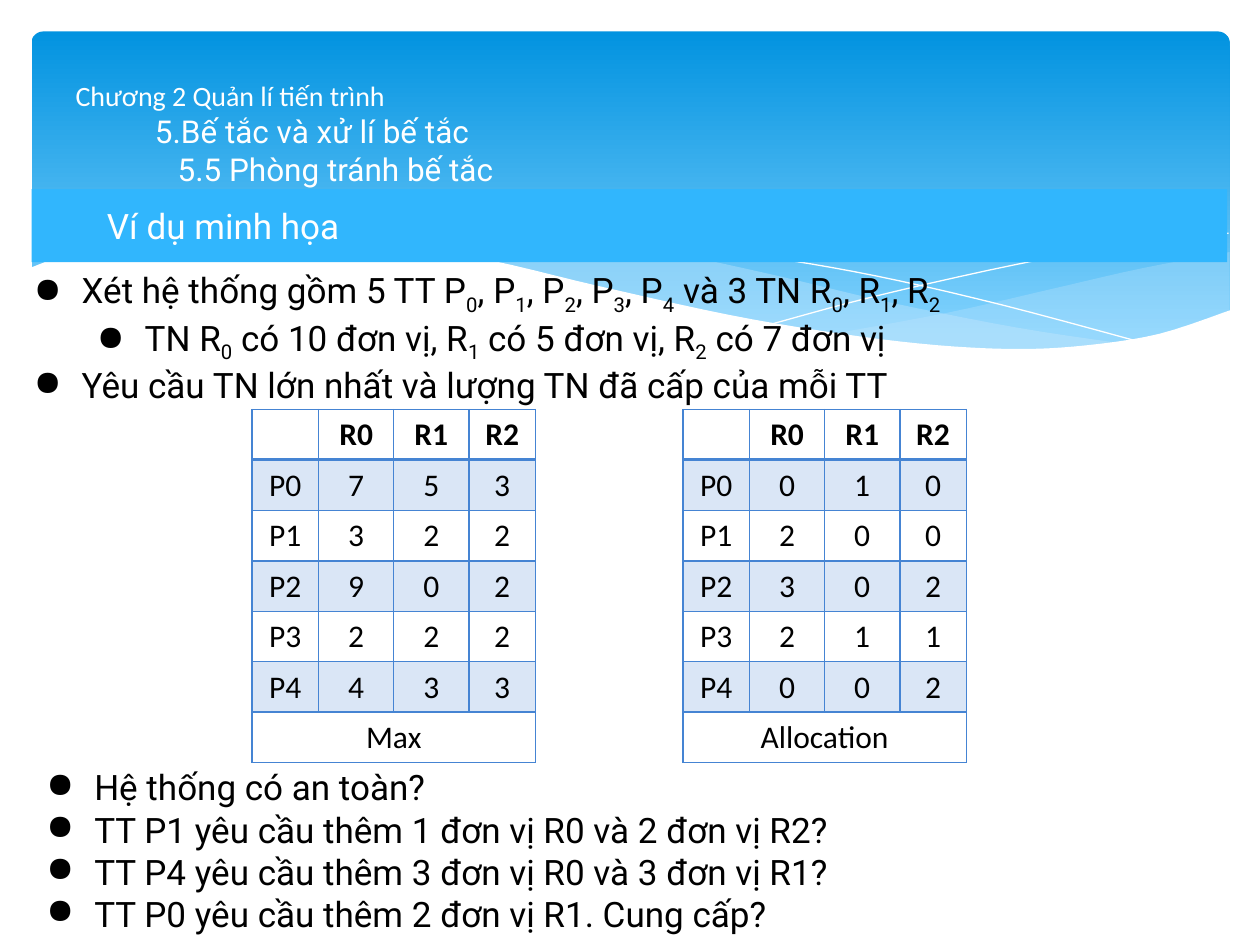
import dataclasses

import lxml.etree
import pptx
import pptx.dml.color
import pptx.enum.shapes
import pptx.enum.text
import pptx.oxml.ns
import pptx.util

COLORS = {
    "panel_top": "0293E0", "panel_bottom": "83D3FE", "wave": "C6E7FC",
    "banner": "31B6FD", "border": "4584D3", "band": "DAE6F6",
    "white": "FFFFFF", "text": "000000",
}
HEADING_FONT, TABLE_FONT = "Roboto", "Calibri"
COLUMN = pptx.util.Inches(10) // 10
ROW = pptx.util.Inches(7.5) / 7.5


@dataclasses.dataclass
class Box:
    """An area in grid columns and rows."""
    left: float
    top: float
    width: float
    height: float

    def lengths(self):
        return (round(self.left * COLUMN), round(self.top * ROW),
                round(self.width * COLUMN), round(self.height * ROW))


def color(name):
    return pptx.dml.color.RGBColor.from_string(COLORS[name])


def add_element(parent, tag, **attributes):
    element = lxml.etree.SubElement(parent, pptx.oxml.ns.qn(tag))
    for name, value in attributes.items():
        element.set(name, str(value))
    return element


def format_font(font, size, face, name, bold=False):
    font.size, font.name, font.bold = pptx.util.Pt(size), face, bold
    font.color.rgb = color(name)


def indent(para, left, first=0.0):
    properties = para._p.get_or_add_pPr()
    properties.set("marL", str(round(left * COLUMN)))
    properties.set("indent", str(round(first * COLUMN)))
    return properties


def smooth_edge(points, steps=5):
    """Return points on a Catmull-Rom curve through the given points."""
    if len(points) == 2:
        return list(points)
    padded = [points[0], *points, points[-1]]
    curve = [points[0]]
    for a, b, c, d in zip(padded, padded[1:], padded[2:], padded[3:]):
        for step in range(1, steps + 1):
            t = step / steps
            curve.append(tuple(
                (2 * q + (r - p) * t + (2 * p - 5 * q + 4 * r - s) * t ** 2
                 + (3 * q - p - 3 * r + s) * t ** 3) / 2
                for p, q, r, s in zip(a, b, c, d)))
    return curve


def add_outline(page, edges, closed):
    points = [(round(x * COLUMN), round(y * ROW))
              for edge in edges for x, y in smooth_edge(edge)]
    builder = page.shapes.build_freeform(*points[0], scale=1.0)
    builder.add_line_segments(points[1:], close=closed)
    shape = builder.convert_to_shape()
    shape.shadow.inherit = False
    return shape


def add_wave(page, edges, name, opacity=100):
    wave = add_outline(page, edges, True)
    wave.fill.solid()
    wave.fill.fore_color.rgb = color(name)
    wave.line.fill.background()
    if opacity < 100:
        fill_color = wave._element.spPr.find(".//" + pptx.oxml.ns.qn("a:srgbClr"))
        add_element(fill_color, "a:alpha", val=opacity * 1000)


def add_wave_line(page, edge):
    line = add_outline(page, [edge], False)
    line.fill.background()
    line.line.color.rgb = color("white")
    line.line.width = pptx.util.Pt(0)


def add_header_panel(page, box):
    panel = page.shapes.add_shape(
        pptx.enum.shapes.MSO_SHAPE.ROUNDED_RECTANGLE, *box.lengths())
    panel.adjustments[0] = 0.034
    panel.shadow.inherit = False
    panel.line.fill.background()
    panel.fill.gradient()
    panel.fill.gradient_angle = 270
    stops = zip(panel.fill.gradient_stops, ("panel_top", "panel_bottom"), (0, 0.9))
    for stop, name, position in stops:
        stop.color.rgb = color(name)
        stop.position = position


def add_waves(page):
    add_wave(page, [
        [(9.76, 2), (9.06, 2.13), (8.32, 2.3), (7.53, 2.48), (6.61, 2.65)],
        [(6.61, 2.65), (7.32, 2.74), (8.03, 2.78), (8.72, 2.74),
         (9.28, 2.64), (9.76, 2.47)]], "wave", 29)
    add_wave(page, [
        [(8.93, 2.73), (8.07, 2.6), (7.06, 2.4), (6.13, 2.18), (5.27, 2),
         (4.41, 1.89), (3.61, 1.86), (2.86, 1.91)],
        [(2.86, 1.91), (3.62, 2.03), (4.49, 2.22), (5.66, 2.48), (6.5, 2.64),
         (7.22, 2.74), (8.07, 2.79), (8.93, 2.73)]], "wave", 40)
    add_wave_line(page, [(3.09, 1.95), (3.63, 1.89), (4.33, 1.87), (5.1, 1.92),
                         (6.08, 2.04), (6.95, 2.19), (7.95, 2.42), (9.07, 2.72)])
    add_wave_line(page, [(6.13, 2.57), (6.95, 2.35), (8.06, 2.1), (8.95, 1.94),
                         (9.75, 1.85)])
    add_wave(page, [
        [(9.77, 2.46), (9.2, 2.65), (8.63, 2.74), (8.09, 2.77), (7.44, 2.74),
         (6.68, 2.65), (5.79, 2.5), (4.75, 2.27), (3.91, 2.07), (3.15, 1.94),
         (2.5, 1.86), (1.77, 1.84), (1.19, 1.87), (0.67, 1.97), (0.23, 2.13)],
        [(0.23, 3.29), (9.77, 3.29)]], "white")


def place_title(page, box, lines):
    title = page.shapes.title
    title._element.getparent().append(title._element)
    title.left, title.top, title.width, title.height = box.lengths()
    frame = title.text_frame
    frame.auto_size = pptx.enum.text.MSO_AUTO_SIZE.NONE
    frame.vertical_anchor = pptx.enum.text.MSO_ANCHOR.MIDDLE
    frame.text = "\n".join(text for text, *_ in lines)
    for para, (_, left, size, face) in zip(frame.paragraphs, lines):
        indent(para, left)
        para.alignment = pptx.enum.text.PP_ALIGN.LEFT
        para.space_before = pptx.util.Pt(0)
        format_font(para.runs[0].font, size, face, "white")


def add_banner(page, box, text):
    banner = page.shapes.add_shape(
        pptx.enum.shapes.MSO_SHAPE.RECTANGLE, *box.lengths())
    banner.shadow.inherit = False
    banner.fill.solid()
    banner.fill.fore_color.rgb = color("banner")
    banner.line.fill.background()
    banner.text_frame.text = text
    para = banner.text_frame.paragraphs[0]
    indent(para, 0.5)
    para.alignment = pptx.enum.text.PP_ALIGN.LEFT
    format_font(para.runs[0].font, 20, HEADING_FONT, "white")


def add_bullets(page, box, items):
    """Add (level, text) items; the character after "_" is a subscript."""
    frame = page.shapes.add_textbox(*box.lengths()).text_frame
    frame.word_wrap = True
    frame.auto_size = pptx.enum.text.MSO_AUTO_SIZE.SHAPE_TO_FIT_TEXT
    for number, (level, text) in enumerate(items):
        para = frame.add_paragraph() if number else frame.paragraphs[0]
        para.level = level
        add_element(indent(para, 0.38 + level * 0.5, -0.38), "a:buChar", char="●")
        first, *rest = text.split("_")
        pieces = [(first, False)]
        for part in rest:
            pieces += [(part[0], True), (part[1:], False)]
        for piece, lowered in pieces:
            if piece:
                span = para.add_run()
                span.text = piece
                format_font(span.font, 20, HEADING_FONT, "text")
                if lowered:
                    span._r.get_or_add_rPr().set("baseline", "-25000")


def border_cell(cell, bottom):
    properties = cell._tc.get_or_add_tcPr()
    for side, width in zip("LRTB", (1, 1, 1, bottom)):
        line = add_element(properties, "a:ln" + side, w=pptx.util.Pt(width))
        add_element(add_element(line, "a:solidFill"), "a:srgbClr",
                    val=COLORS["border"])


def add_resource_table(page, box, caption, counts):
    rows = [["", "R0", "R1", "R2"]]
    rows += [[f"P{number}", *digits] for number, digits in enumerate(counts.split())]
    rows.append([caption, "", "", ""])
    table = page.shapes.add_table(len(rows), 4, *box.lengths()).table
    table.horz_banding = table.first_row = False
    for column, share in zip(table.columns, (0.235, 0.265, 0.265, 0.235)):
        column.width = round(box.width * share * COLUMN)
    last = len(rows) - 1
    for r, row in enumerate(rows):
        for c, text in enumerate(row):
            cell = table.cell(r, c)
            border_cell(cell, 2 if r == 0 else 1)
            if r % 2:
                cell.fill.solid()
                cell.fill.fore_color.rgb = color("band")
            else:
                cell.fill.background()
            cell.text = text
            para = cell.text_frame.paragraphs[0]
            para.alignment = pptx.enum.text.PP_ALIGN.CENTER
            for span in para.runs:
                format_font(span.font, 18, TABLE_FONT, "text", r == 0)
    table.cell(last, 0).merge(table.cell(last, 3))


def main():
    deck = pptx.Presentation()
    deck.slide_width, deck.slide_height = pptx.util.Inches(10), pptx.util.Inches(7.5)
    page = deck.slides.add_slide(deck.slide_layouts[5])
    add_header_panel(page, Box(0.25, 0.25, 9.51, 2.7))
    add_waves(page)
    place_title(page, Box(0.5, 0.37, 9, 1.37), [
        ("Chương 2 Quản lí tiến trình", 0, 16, TABLE_FONT),
        ("5.Bế tắc và xử lí bế tắc", 0.63, 18, HEADING_FONT),
        ("5.5 Phòng tránh bế tắc", 0.81, 18, HEADING_FONT)])
    add_banner(page, Box(0.25, 1.5, 9.49, 0.58), "Ví dụ minh họa")
    add_bullets(page, Box(0.17, 2.08, 9.57, 1.11), [
        (0, "Xét hệ thống gồm 5 TT P_0, P_1, P_2, P_3, P_4 và 3 TN R_0, R_1, R_2"),
        (1, "TN R_0 có 10 đơn vị, R_1 có 5 đơn vị, R_2 có 7 đơn vị"),
        (0, "Yêu cầu TN lớn nhất và lượng TN đã cấp của mỗi TT")])
    add_resource_table(page, Box(2, 3.25, 2.25, 2.8), "Max", "753 322 902 222 433")
    add_resource_table(page, Box(5.42, 3.25, 2.25, 2.8), "Allocation",
                       "010 200 302 211 002")
    add_bullets(page, Box(0.27, 6.03, 9.17, 1.45), [
        (0, "Hệ thống có an toàn?"),
        (0, "TT P1 yêu cầu thêm 1 đơn vị R0 và 2 đơn vị R2?"),
        (0, "TT P4 yêu cầu thêm 3 đơn vị R0 và 3 đơn vị R1?"),
        (0, "TT P0 yêu cầu thêm 2 đơn vị R1. Cung cấp?")])
    deck.save("out.pptx")


if __name__ == "__main__":
    main()
